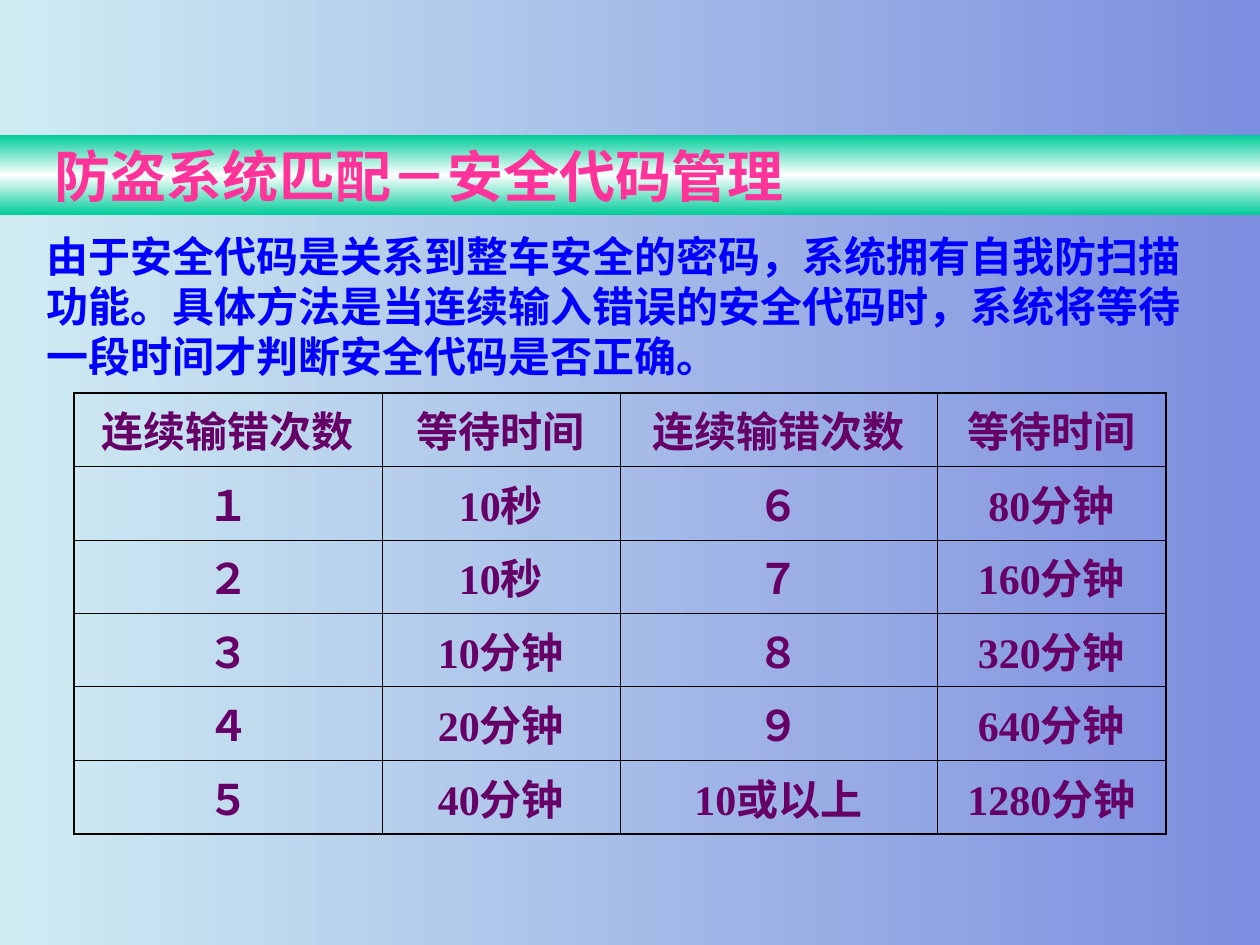
from copy import deepcopy
from typing import NamedTuple

from lxml.etree import SubElement
from pptx import Presentation
from pptx.dml.color import RGBColor
from pptx.enum.shapes import MSO_SHAPE
from pptx.enum.text import MSO_ANCHOR, PP_ALIGN
from pptx.oxml.ns import qn
from pptx.util import Emu, Pt

EMU_PER_PX = 914400 / 126
SLIDE_WIDTH, SLIDE_HEIGHT = 1260, 945

SKY = RGBColor(0xD0, 0xEC, 0xF2)
PERIWINKLE = RGBColor(0x7D, 0x8D, 0xDF)
GREEN = RGBColor(0x00, 0xCC, 0x99)
WHITE = RGBColor(0xFF, 0xFF, 0xFF)
PINK = RGBColor(0xFF, 0x33, 0x99)
BLUE = RGBColor(0x00, 0x00, 0xFF)
PURPLE = RGBColor(0x66, 0x00, 0x66)
BLACK = RGBColor(0x00, 0x00, 0x00)

LATIN_FONT = "Times New Roman"
CHINESE_FONT = "Noto Sans CJK SC"
OUTER_LINE, INNER_LINE = Pt(1.08), Pt(0.45)

TITLE = "防盗系统匹配－安全代码管理"
EXPLANATION = (
    "由于安全代码是关系到整车安全的密码，系统拥有自我防扫描功能。"
    "具体方法是当连续输入错误的安全代码时，系统将等待一段时间才判断安全代码是否正确。"
)
HEADINGS = ("连续输错次数", "等待时间")
COLUMN_WIDTHS = (308, 238, 317, 229)
ROW_HEIGHT = 73.5


class Wait(NamedTuple):
    attempts: str
    delay: str


FIRST_WAITS = (
    Wait("１", "10秒"),
    Wait("２", "10秒"),
    Wait("３", "10分钟"),
    Wait("４", "20分钟"),
    Wait("５", "40分钟"),
)
LATER_WAITS = (
    Wait("６", "80分钟"),
    Wait("７", "160分钟"),
    Wait("８", "320分钟"),
    Wait("９", "640分钟"),
    Wait("10或以上", "1280分钟"),
)


def px(length: float) -> Emu:
    return Emu(round(length * EMU_PER_PX))


def write(text_frame, text: str, size: int, color: RGBColor, font: str = LATIN_FONT) -> None:
    text_frame.text = text
    text_frame.word_wrap = True
    for span in text_frame.paragraphs[0].runs:
        span.font.size = Pt(size)
        span.font.bold = True
        span.font.name = font
        span.font.color.rgb = color
        SubElement(span.font._element, qn("a:ea"), typeface=CHINESE_FONT)


def set_border(cell, side: str, width: Emu) -> None:
    line = SubElement(cell._tc.get_or_add_tcPr(), qn(f"a:{side}"), w=str(width))
    fill = SubElement(line, qn("a:solidFill"))
    SubElement(fill, qn("a:srgbClr"), val=str(BLACK))


def paint_background(slide) -> None:
    fill = slide.background.fill
    fill.gradient()
    fill.gradient_angle = 180
    for stop, color in zip(fill.gradient_stops, (PERIWINKLE, SKY)):
        stop.color.rgb = color


def add_title_band(slide) -> None:
    band = slide.shapes.add_shape(MSO_SHAPE.RECTANGLE, px(0), px(135), px(SLIDE_WIDTH), px(80))
    band.shadow.inherit = False
    band.line.fill.background()
    band.fill.gradient()
    band.fill.gradient_angle = 90
    for stop in band.fill.gradient_stops:
        stop.color.rgb = GREEN
    stops = band._element.spPr.find(f".//{qn('a:gsLst')}")
    middle = deepcopy(stops[0])
    middle.set("pos", "50000")
    stops.insert(1, middle)
    band.fill.gradient_stops[1].color.rgb = WHITE
    write(band.text_frame, TITLE, 32, PINK)
    band.text_frame.margin_left = px(55)
    band.text_frame.vertical_anchor = MSO_ANCHOR.MIDDLE
    band.text_frame.paragraphs[0].alignment = PP_ALIGN.LEFT


def add_explanation(slide) -> None:
    box = slide.shapes.add_textbox(px(34), px(224), px(1160), px(164))
    write(box.text_frame, EXPLANATION, 24, BLUE, CHINESE_FONT)


def add_wait_table(slide) -> None:
    rows = [HEADINGS * 2] + [first + later for first, later in zip(FIRST_WAITS, LATER_WAITS)]
    last_row, last_column = len(rows) - 1, len(COLUMN_WIDTHS) - 1
    frame = slide.shapes.add_table(
        len(rows), len(COLUMN_WIDTHS), px(74), px(393),
        px(sum(COLUMN_WIDTHS)), px(ROW_HEIGHT * len(rows)),
    )
    table = frame.table
    table.first_row = table.horz_banding = False
    for column, width in zip(table.columns, COLUMN_WIDTHS):
        column.width = px(width)
    for row_index, texts in enumerate(rows):
        table.rows[row_index].height = px(ROW_HEIGHT)
        for column_index, text in enumerate(texts):
            cell = table.cell(row_index, column_index)
            write(cell.text_frame, text, 24, PURPLE)
            cell.text_frame.paragraphs[0].alignment = PP_ALIGN.CENTER
            cell.vertical_anchor = MSO_ANCHOR.MIDDLE
            on_edge = {
                "lnL": column_index == 0,
                "lnR": column_index == last_column,
                "lnT": row_index == 0,
                "lnB": row_index == last_row,
            }
            for side, is_outer in on_edge.items():
                set_border(cell, side, OUTER_LINE if is_outer else INNER_LINE)
            cell.fill.background()


def main() -> None:
    deck = Presentation()
    deck.slide_width, deck.slide_height = px(SLIDE_WIDTH), px(SLIDE_HEIGHT)
    page = deck.slides.add_slide(deck.slide_layouts[6])
    paint_background(page)
    add_title_band(page)
    add_explanation(page)
    add_wait_table(page)
    deck.save("out.pptx")


if __name__ == "__main__":
    main()
